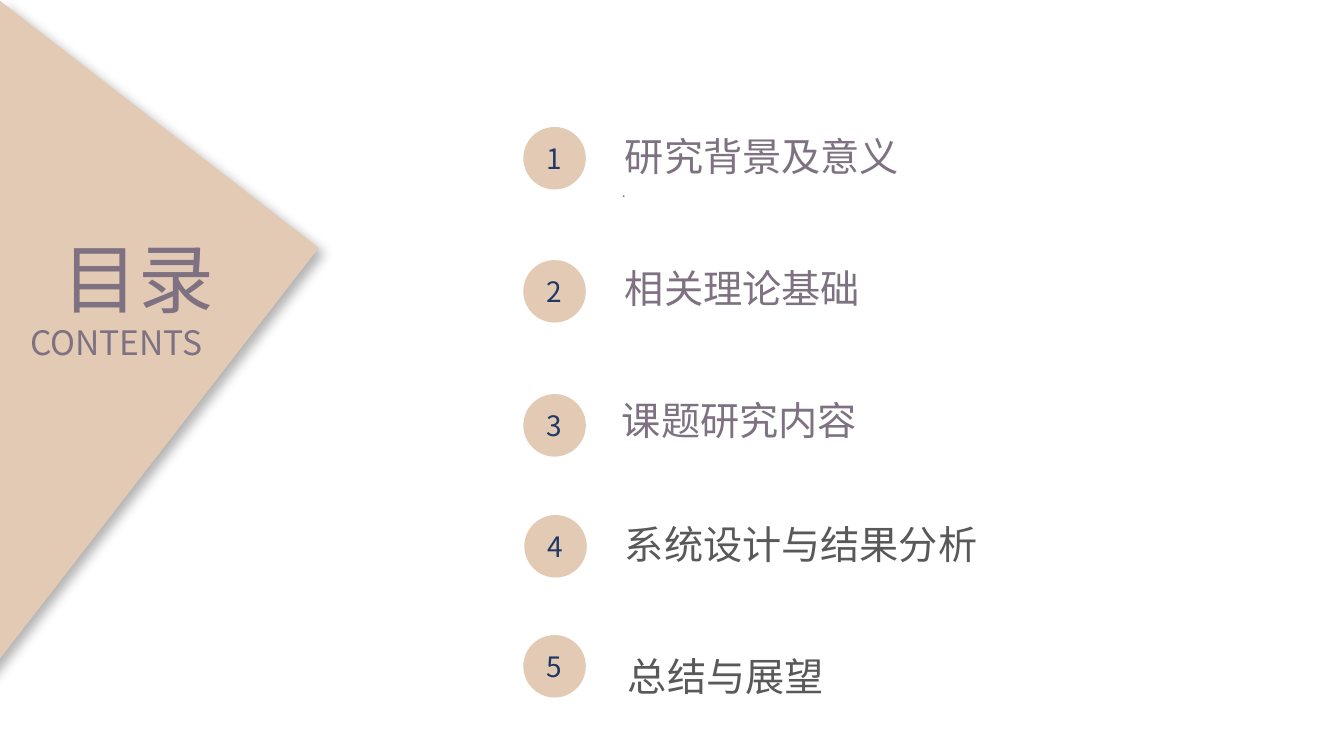
from dataclasses import dataclass

from lxml import etree
from pptx import Presentation
from pptx.dml.color import RGBColor
from pptx.enum.shapes import MSO_SHAPE
from pptx.enum.text import MSO_ANCHOR, MSO_AUTO_SIZE, PP_ALIGN
from pptx.oxml.ns import qn
from pptx.oxml.xmlchemy import BaseOxmlElement
from pptx.shapes.autoshape import Shape
from pptx.slide import Slide
from pptx.util import Inches, Pt

ELLIPSE, RIGHT_TRIANGLE = MSO_SHAPE.OVAL, MSO_SHAPE.RIGHT_TRIANGLE
TOP, MIDDLE = MSO_ANCHOR.TOP, MSO_ANCHOR.MIDDLE
LEFT, CENTER = PP_ALIGN.LEFT, PP_ALIGN.CENTER
FIT_TEXT, NO_FIT = MSO_AUTO_SIZE.SHAPE_TO_FIT_TEXT, MSO_AUTO_SIZE.NONE

SAND, MAUVE, NAVY, GRAY = "E3CAB4", "7E7182", "203864", "595959"
CJK, LATIN = "Noto Sans CJK SC", "Arial"
BADGE_SIZE, ENTRY_HEIGHT = 0.62, 0.57
TITLE_ONLY_LAYOUT = 5


@dataclass(frozen=True)
class Entry:
    topic: str
    badge_left: float
    badge_top: float
    left: float
    top: float
    width: float
    color: str = MAUVE
    font: str = CJK
    wrap: bool = False


ENTRIES = [
    Entry("研究背景及意义", 5.19, 1.26, 6.1, 1.26, 2.92),
    Entry("相关理论基础", 5.19, 2.58, 6.1, 2.57, 2.56),
    Entry("课题研究内容", 5.19, 3.91, 6.07, 3.88, 2.53),
    Entry("系统设计与结果分析", 5.2, 5.11, 6.1, 5.11, 4.96, GRAY, LATIN, True),
    Entry("总结与展望", 5.19, 6.3, 6.13, 6.42, 5.07, GRAY, LATIN, True),
]


def rgb(color: str) -> RGBColor:
    return RGBColor.from_string(color)


def place(shape: Shape, left: float, top: float, width: float, height: float) -> None:
    shape.left, shape.top = Inches(left), Inches(top)
    shape.width, shape.height = Inches(width), Inches(height)


def write(shape: Shape, text: str, size: float, color: str, font: str = CJK,
          wrap: bool = False, anchor: MSO_ANCHOR = TOP,
          align: PP_ALIGN = LEFT, fit: MSO_AUTO_SIZE = FIT_TEXT) -> None:
    frame = shape.text_frame
    frame.text = text
    frame.word_wrap = wrap
    frame.auto_size = fit
    frame.vertical_anchor = anchor
    paragraph = frame.paragraphs[0]
    paragraph.alignment = align
    run = paragraph.runs[0]
    run.font.size = Pt(size)
    run.font.name = font
    run.font.color.rgb = rgb(color)
    east_asian = etree.SubElement(run.font._element, qn("a:ea"))
    east_asian.set("typeface", font)


def add_label(slide: Slide, text: str, left: float, top: float, width: float,
              height: float, size: float, color: str = MAUVE,
              font: str = CJK, wrap: bool = False) -> None:
    label = slide.shapes.add_textbox(
        Inches(left), Inches(top), Inches(width), Inches(height))
    write(label, text, size, color, font, wrap)


def add_sand_shape(slide: Slide, kind: MSO_SHAPE, left: float, top: float,
                   width: float, height: float) -> Shape:
    shape = slide.shapes.add_shape(
        kind, Inches(left), Inches(top), Inches(width), Inches(height))
    shape.shadow.inherit = False
    shape.fill.solid()
    shape.fill.fore_color.rgb = rgb(SAND)
    shape.line.fill.background()
    return shape


def cast_shadow(properties: BaseOxmlElement) -> None:
    """Give the shape a soft black shadow towards the lower right."""
    shadow = etree.SubElement(
        properties.find(qn("a:effectLst")), qn("a:outerShdw"),
        blurRad=str(Pt(8)), dist=str(Pt(6)), dir=str(45 * 60000),
        algn="tl", rotWithShape="0")
    black = etree.SubElement(shadow, qn("a:srgbClr"), val="000000")
    etree.SubElement(black, qn("a:alpha"), val="30000")


def add_side_triangle(slide: Slide) -> None:
    triangle = add_sand_shape(slide, RIGHT_TRIANGLE, -3.19, 1.56, 5.91, 4.01)
    triangle.rotation = 127.8
    properties = triangle._element.spPr
    properties.find(qn("a:xfrm")).set("flipV", "1")
    cast_shadow(properties)
    slide.shapes._spTree.insert(2, triangle._element)  # behind the title


def add_entry(slide: Slide, number: int, entry: Entry) -> None:
    badge = add_sand_shape(slide, ELLIPSE, entry.badge_left, entry.badge_top,
                           BADGE_SIZE, BADGE_SIZE)
    write(badge, str(number), 20, NAVY, wrap=True, anchor=MIDDLE,
          align=CENTER, fit=NO_FIT)
    add_label(slide, entry.topic, entry.left, entry.top, entry.width,
              ENTRY_HEIGHT, 28, entry.color, entry.font, entry.wrap)


def main() -> None:
    deck = Presentation()
    deck.slide_width, deck.slide_height = Inches(13.33), Inches(7.5)
    contents = deck.slides.add_slide(deck.slide_layouts[TITLE_ONLY_LAYOUT])

    add_side_triangle(contents)
    heading = contents.shapes.title
    place(heading, 0.52, 2.25, 1.72, 1.01)
    write(heading, "目录", 54, MAUVE)
    add_label(contents, "CONTENTS", 0.2, 3.14, 2.05, 0.5, 24)

    for number, entry in enumerate(ENTRIES, start=1):
        add_entry(contents, number, entry)
    add_label(contents, ".", 6.07, 1.77, 0.27, 0.27, 10)

    deck.save("out.pptx")


if __name__ == "__main__":
    main()
